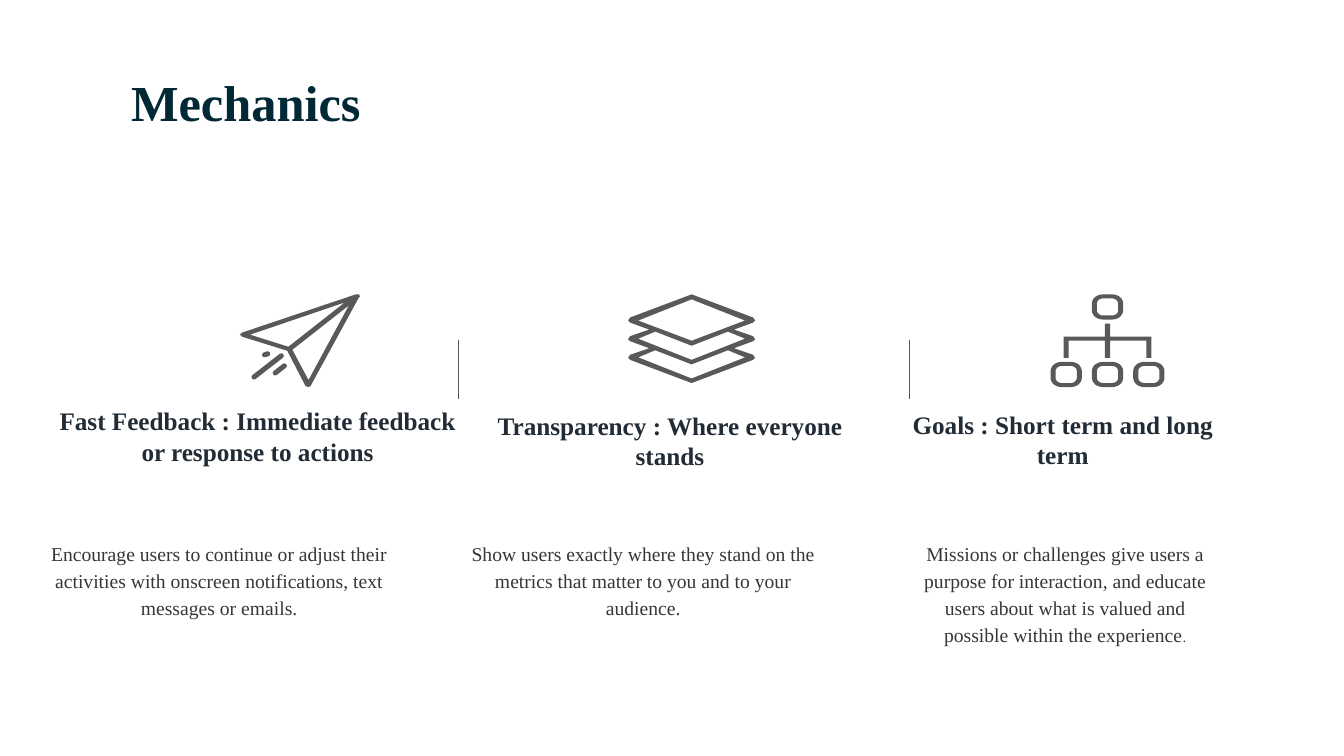
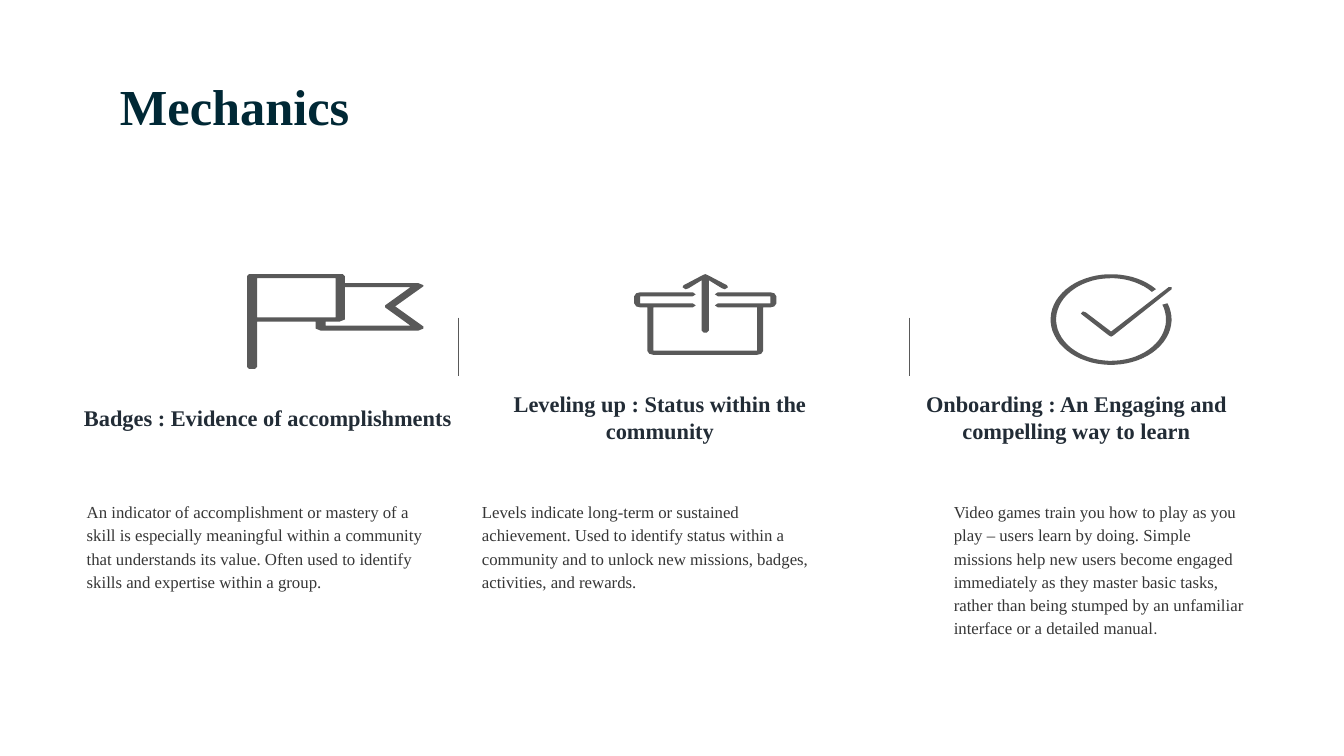
import math
from dataclasses import dataclass

import lxml.etree
import pptx
import pptx.dml.color
import pptx.enum.shapes
import pptx.enum.text
import pptx.oxml.ns
import pptx.util

Inches = pptx.util.Inches
Pt = pptx.util.Pt
ALIGN = pptx.enum.text.PP_ALIGN
ANCHOR = pptx.enum.text.MSO_ANCHOR


# Theme shared by both slides
@dataclass(frozen=True)
class Theme:
    title_color: str = "002835"
    heading_color: str = "222C36"
    body_color: str = "363636"
    icon_color: str = "595959"
    font: str = "Times New Roman"
    stop_font: str = "Roboto"
    title_size: float = 36
    text_inset: float = 0.03
    title_inset: float = 0.13
    body_spacing: float = 1.15
    divider_width: float = 0.75
    divider_lefts: tuple = (4.55, 9.02)


THEME = Theme()


@dataclass(frozen=True)
class Box:
    left: float
    top: float
    width: float
    height: float

    def inches(self):
        return [Inches(v) for v in (self.left, self.top, self.width, self.height)]


@dataclass(frozen=True)
class Column:
    icon: list
    icon_left: float
    heading: str
    heading_box: Box
    body: str
    body_box: Box
    stop_size: float = 0  # size of a closing full stop in the second font


@dataclass(frozen=True)
class MechanicsSlide:
    title_box: Box
    icon_top: float
    divider_top: float
    divider_height: float
    heading_size: float
    body_size: float
    body_align: object
    columns: list


def rgb(color):
    return pptx.dml.color.RGBColor.from_string(color)


# Icon outlines: lists of contours, in hundredths of an inch
def arc(center_x, center_y, radius_x, radius_y, start, end, steps):
    angles = [math.radians(start + (end - start) * i / steps) for i in range(steps + 1)]
    return [(center_x + radius_x * math.cos(a), center_y + radius_y * math.sin(a))
            for a in angles]


def rounded_box(left, top, width, height, radius_x, radius_y):
    right, bottom = left + width - radius_x, top + height - radius_y
    left, top = left + radius_x, top + radius_y
    corners = [(right, bottom), (left, bottom), (left, top), (right, top)]
    return [point for i, (x, y) in enumerate(corners)
            for point in arc(x, y, radius_x, radius_y, 90 * i, 90 * i + 90, 6)]


def dash(x1, y1, x2, y2, radius=2.5):
    angle = math.degrees(math.atan2(y2 - y1, x2 - x1))
    return (arc(x2, y2, radius, radius, angle - 90, angle + 90, 6)
            + arc(x1, y1, radius, radius, angle + 90, angle + 270, 6))


def symmetric(right_half, axis):
    return right_half + [(2 * axis - x, y) for x, y in reversed(right_half)]


def paper_plane():
    outline = [(0, 40), (2, 38), (115, 0), (118, 0), (119, 2), (118, 3), (70, 91),
               (68, 92), (65, 91), (47, 56), (2, 42)]
    wings = [[(68, 85), (52, 55), (108, 11)], [(10, 40), (104, 8), (48, 52)]]
    trail = [dash(14, 82, 41, 61), dash(35, 78, 44, 71), dash(24.5, 60, 27.5, 59)]
    return [outline, *wings, *trail]


def layers():
    axis, gap = 63, 18.5
    outline = [(axis, 0)]
    for level in range(3):
        y = 26 + gap * level
        outline += [(124, y - 3), (126, y), (124, y + 2)]
        if level < 2:
            outline.append((105, y + 9))
    outline.append((axis, 88))
    sheets = [[(axis, 5), (116, 26), (axis, 46)]]
    for drop in (0, gap):
        sheets.append([(axis, 51 + drop), (99, 37 + drop), (116, 44 + drop),
                       (axis, 65 + drop)])
    return [symmetric(half, axis) for half in [outline, *sheets]]


def hierarchy():
    tree = [(56.5, 29), (59, 29), (59, 42), (100, 42), (100, 63), (95, 63), (95, 46),
            (59, 46), (59, 63), (56.5, 63)]
    contours = [symmetric(tree, 56.5)]
    for left, top in [(41, 0)] + [(41 * i, 67) for i in range(3)]:
        contours.append(rounded_box(left, top, 31, 25, 11, 9))
        contours.append(rounded_box(left + 5, top + 4, 21, 17, 6, 5))
    return contours


def flag():
    outline = [(2, 0), (95, 0), (97, 2), (97, 9), (170, 9), (175, 11), (175, 12),
               (147, 32), (175, 52), (175, 54), (170, 56), (73, 56), (68, 54),
               (68, 47), (10, 47), (10, 92), (8, 94), (2, 94), (0, 92), (0, 2)]
    front = [(10, 4), (88, 4), (88, 43), (10, 43)]
    tail = [(78, 51), (78, 47), (92, 47), (97, 45), (97, 13), (162, 13), (137, 31),
            (137, 33), (162, 51)]
    return [outline, front, tail]


def box_with_arrow():
    axis = 70.5
    arrow = [(axis, 0), (73, 1), (92, 11), (93, 13), (90, 15), (87, 14), (74, 6),
             (74, 56), (72, 58), (axis, 58)]
    tray = [(axis, 76), (122, 76), (122, 33), (83, 33), (80, 31), (83, 29), (135, 29),
            (135, 22), (83, 22), (80, 20), (83, 18), (135, 18), (139, 19), (141, 22),
            (141, 29), (139, 32), (135, 33), (128, 33), (128, 76), (126, 79),
            (122, 80), (axis, 80)]
    return [symmetric(half, axis) for half in (arrow, tray)]


def check_mark():
    ring = arc(60, 45, 60, 45, -21, 318, 60) + arc(60, 45, 54.5, 41, 318, -21, 60)
    tick = [(30, 39), (32, 37), (35, 38), (60, 57), (117, 13), (120, 13), (120, 15),
            (62, 61), (60, 62), (58, 61), (31, 40)]
    return [ring, tick]


# Parts of a slide
def add_icon(slide, contours, left, top):
    units = [[(x * 10, y * 10) for x, y in contour] for contour in contours]
    builder = slide.shapes.build_freeform(*units[0][0], scale=Inches(1) / 1000)
    for number, contour in enumerate(units):
        if number:
            builder.move_to(*contour[0])
        builder.add_line_segments(contour[1:], close=True)
    shape = builder.convert_to_shape(Inches(left), Inches(top))
    shape.shadow.inherit = False
    shape.fill.solid()
    shape.fill.fore_color.rgb = rgb(THEME.icon_color)
    shape.line.fill.background()


def add_divider(slide, left, top, height):
    line = slide.shapes.add_connector(
        pptx.enum.shapes.MSO_CONNECTOR.STRAIGHT,
        Inches(left), Inches(top), Inches(left), Inches(top + height))
    line.line.color.rgb = rgb(THEME.icon_color)
    line.line.width = Pt(THEME.divider_width)
    lxml.etree.SubElement(line._element.spPr, pptx.oxml.ns.qn("a:effectLst"))


def add_run(paragraph, text, size, color, bold=False, font=THEME.font):
    run = paragraph.add_run()
    run.text = text
    run.font.name = font
    run.font.size = Pt(size)
    run.font.bold = bold
    run.font.color.rgb = rgb(color)


def prepare_text(shape, inset, anchor, align, spacing):
    frame = shape.text_frame
    frame.word_wrap = True
    frame.auto_size = pptx.enum.text.MSO_AUTO_SIZE.NONE
    frame.vertical_anchor = anchor
    frame.margin_left = frame.margin_right = Inches(inset)
    frame.margin_top = frame.margin_bottom = Inches(inset)
    paragraph = frame.paragraphs[0]
    paragraph.alignment = align
    paragraph.line_spacing = spacing
    return paragraph


def add_title(slide, text, box):
    title = slide.shapes.title
    title.left, title.top, title.width, title.height = box.inches()
    paragraph = prepare_text(title, THEME.title_inset, ANCHOR.MIDDLE, ALIGN.LEFT, 0.9)
    add_run(paragraph, text, THEME.title_size, THEME.title_color, bold=True)


def add_column(slide, column, content):
    add_icon(slide, column.icon, column.icon_left, content.icon_top)
    heading = slide.shapes.add_textbox(*column.heading_box.inches())
    paragraph = prepare_text(heading, THEME.text_inset, ANCHOR.MIDDLE, ALIGN.CENTER, 1.0)
    add_run(paragraph, column.heading, content.heading_size, THEME.heading_color, bold=True)
    body = slide.shapes.add_textbox(*column.body_box.inches())
    paragraph = prepare_text(body, THEME.text_inset, ANCHOR.TOP, content.body_align,
                             THEME.body_spacing)
    add_run(paragraph, column.body, content.body_size, THEME.body_color)
    if column.stop_size:
        add_run(paragraph, ".", column.stop_size, THEME.body_color, font=THEME.stop_font)


def add_mechanics_slide(presentation, content):
    slide = presentation.slides.add_slide(presentation.slide_layouts.get_by_name("Title Only"))
    add_title(slide, "Mechanics", content.title_box)
    for column in content.columns:
        add_column(slide, column, content)
    for left in THEME.divider_lefts:
        add_divider(slide, left, content.divider_top, content.divider_height)


# Content
FEEDBACK_AND_GOALS = MechanicsSlide(
    Box(1.17, 0.76, 6.99, 0.57), 2.92, 3.37, 0.59, 18, 14, ALIGN.CENTER, [
        Column(paper_plane(), 2.38,
               "Fast Feedback : Immediate feedback or response to actions",
               Box(0.56, 3.88, 3.99, 0.89),
               "Encourage users to continue or adjust their activities with onscreen "
               "notifications, text messages or emails.", Box(0.46, 5.31, 3.43, 1.28)),
        Column(layers(), 6.23, "Transparency : Where everyone stands",
               Box(4.77, 3.96, 3.75, 0.82),
               "Show users exactly where they stand on the metrics that matter to you "
               "and to your audience.", Box(4.55, 5.31, 3.66, 1.28)),
        Column(hierarchy(), 10.42, "Goals : Short term and long term",
               Box(9.02, 4.1, 3.04, 0.52),
               "Missions or challenges give users a purpose for interaction, and educate "
               "users about what is valued and possible within the experience",
               Box(9.02, 5.31, 3.09, 1.28), 10.5)])

BADGES_AND_LEVELS = MechanicsSlide(
    Box(1.06, 0.8, 6.99, 0.57), 2.72, 3.15, 0.58, 16, 12, ALIGN.LEFT, [
        Column(flag(), 2.45, "Badges : Evidence of accomplishments",
               Box(0.76, 3.73, 3.79, 0.82),
               "An indicator of accomplishment or mastery of a skill is especially "
               "meaningful within a community that understands its value. Often used to "
               "identify skills and expertise within a group.",
               Box(0.83, 4.92, 3.52, 1.52)),
        Column(box_with_arrow(), 6.29, "Leveling up : Status within the community",
               Box(4.55, 3.73, 3.99, 0.82),
               "Levels indicate long-term or sustained achievement. Used to identify "
               "status within a community and to unlock new missions, badges, "
               "activities, and rewards.", Box(4.75, 4.92, 3.3, 1.28)),
        Column(check_mark(), 10.42, "Onboarding : An Engaging and compelling way to learn",
               Box(9.02, 3.73, 3.31, 0.82),
               "Video games train you how to play as you play – users learn by doing. "
               "Simple missions help new users become engaged immediately as they master "
               "basic tasks, rather than being stumped by an unfamiliar interface or a "
               "detailed manual", Box(9.43, 4.92, 3.04, 1.42), 12)])

presentation = pptx.Presentation()
presentation.slide_width = Inches(13.33)
presentation.slide_height = Inches(7.5)
for content in (FEEDBACK_AND_GOALS, BADGES_AND_LEVELS):
    add_mechanics_slide(presentation, content)
presentation.save("out.pptx")
